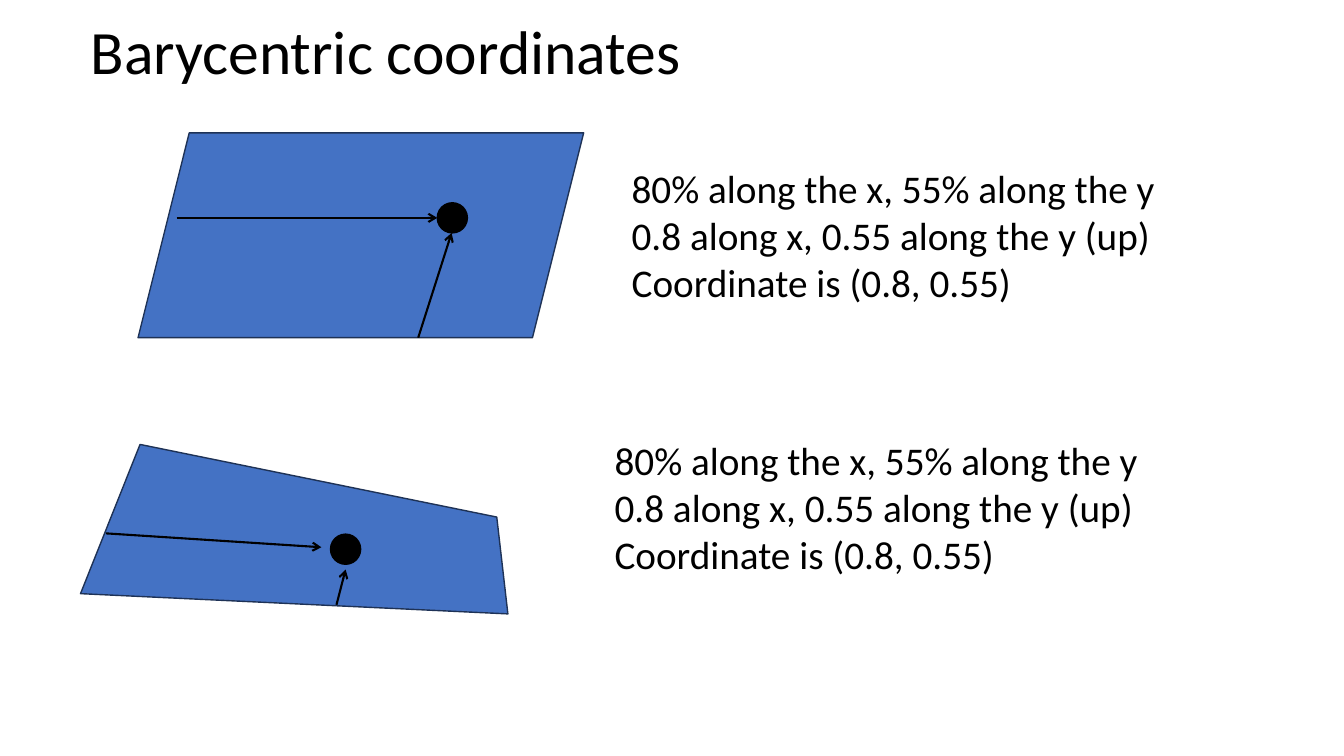
import pptx
import pptx.util
import pptx.dml.color
import pptx.enum.shapes
import pptx.enum.text
import pptx.oxml
import pptx.oxml.ns
from pptx.util import Cm

COLOURS = {"surface": "4472C4", "edge": "1E3256", "ink": "000000"}
FONT = "Calibri"
POINT_SIZE = 0.76
EXPLANATION = [
    "80% along the x, 55% along the y",
    "0.8 along x, 0.55 along the y (up)",
    "Coordinate is (0.8, 0.55)",
]


def colour(name):
    return pptx.dml.color.RGBColor.from_string(COLOURS[name])


def paint(shape, fill, line):
    shape.shadow.inherit = False
    shape.fill.solid()
    shape.fill.fore_color.rgb = colour(fill)
    shape.line.color.rgb = colour(line)
    shape.line.width = pptx.util.Pt(1)


def add_words(paragraph, words, size):
    run = paragraph.add_run()
    run.text = words
    run.font.name = FONT
    run.font.size = pptx.util.Pt(size)
    run.font.color.rgb = colour("ink")


def add_arrow(group, left, top, start, end):
    arrow = group.shapes.add_connector(
        pptx.enum.shapes.MSO_CONNECTOR.STRAIGHT,
        Cm(left + start[0]), Cm(top + start[1]),
        Cm(left + end[0]), Cm(top + end[1]))
    arrow.line.color.rgb = colour("ink")
    arrow.line.width = pptx.util.Pt(1.5)
    head = pptx.oxml.parse_xml(
        f'<a:tailEnd {pptx.oxml.ns.nsdecls("a")} type="arrow"/>')
    arrow.line._get_or_add_ln().append(head)
    properties = arrow._element.spPr
    properties.append(pptx.oxml.parse_xml(
        f'<a:effectLst {pptx.oxml.ns.nsdecls("a")}/>'))


def add_point(group, left, top, offset):
    point = group.shapes.add_shape(
        pptx.enum.shapes.MSO_SHAPE.OVAL,
        Cm(left + offset[0]), Cm(top + offset[1]),
        Cm(POINT_SIZE), Cm(POINT_SIZE))
    paint(point, "ink", "ink")


def add_title(slide, left, top, width, height):
    title = slide.shapes.title
    title.left, title.top = Cm(left), Cm(top)
    title.width, title.height = Cm(width), Cm(height)
    title.text_frame.vertical_anchor = pptx.enum.text.MSO_ANCHOR.MIDDLE
    heading = title.text_frame.paragraphs[0]
    heading.alignment = pptx.enum.text.PP_ALIGN.LEFT
    heading.line_spacing = 0.9
    add_words(heading, "Barycentric coordinates", 44)


def add_parallelogram_diagram(slide, left, top, width, height):
    diagram = slide.shapes.add_group_shape()
    surface = diagram.shapes.add_shape(
        pptx.enum.shapes.MSO_SHAPE.PARALLELOGRAM,
        Cm(left), Cm(top), Cm(width), Cm(height))
    paint(surface, "surface", "edge")
    add_point(diagram, left, top, (7.54, 1.76))
    add_arrow(diagram, left, top, (7.06, height), (7.9, 2.52))
    add_arrow(diagram, left, top, (0.97, 2.14), (7.54, 2.14))


def add_quadrilateral_diagram(slide, left, top, width, height):
    diagram = slide.shapes.add_group_shape()
    corners = [(1.5, 0), (0, 3.76), (width, height), (10.49, 1.83)]
    outline = [(Cm(left + x), Cm(top + y)) for x, y in corners]
    builder = diagram.shapes.build_freeform(*outline[0])
    builder.add_line_segments(outline[1:], close=True)
    paint(builder.convert_to_shape(), "surface", "edge")
    add_arrow(diagram, left, top, (0.64, 2.24), (6.07, 2.59))
    add_point(diagram, left, top, (6.3, 2.26))
    add_arrow(diagram, left, top, (6.45, 4.04), (6.68, 3.15))


def add_explanation(slide, left, top, width, height):
    explanation = slide.shapes.add_textbox(
        Cm(left), Cm(top), Cm(width), Cm(height)).text_frame
    explanation.word_wrap = True
    explanation.auto_size = pptx.enum.text.MSO_AUTO_SIZE.SHAPE_TO_FIT_TEXT
    for index, sentence in enumerate(EXPLANATION):
        paragraph = (explanation.add_paragraph() if index
                     else explanation.paragraphs[0])
        add_words(paragraph, sentence, 28)


def main():
    deck = pptx.Presentation()
    deck.slide_width, deck.slide_height = Cm(33.87), Cm(19.05)
    slide = deck.slides.add_slide(deck.slide_layouts[5])
    add_title(slide, 2.03, 0.38, 29.21, 1.98)
    add_parallelogram_diagram(slide, 3.48, 3.35, 11.23, 5.16)
    add_explanation(slide, 15.67, 4.01, 17.35, 3.84)
    add_quadrilateral_diagram(slide, 2.03, 11.2, 10.77, 4.27)
    add_explanation(slide, 15.24, 10.87, 17.35, 3.84)
    deck.save("out.pptx")


if __name__ == "__main__":
    main()
